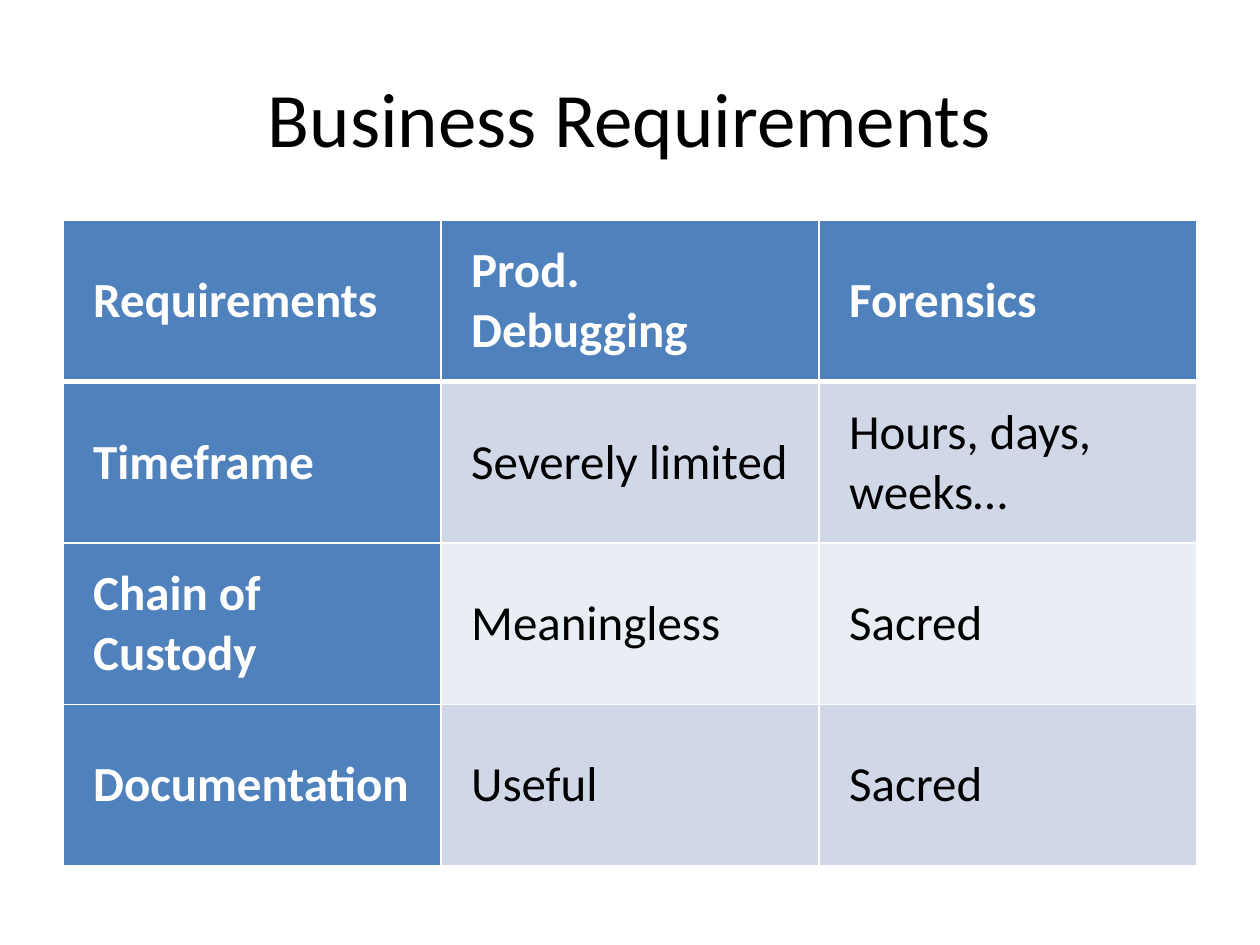
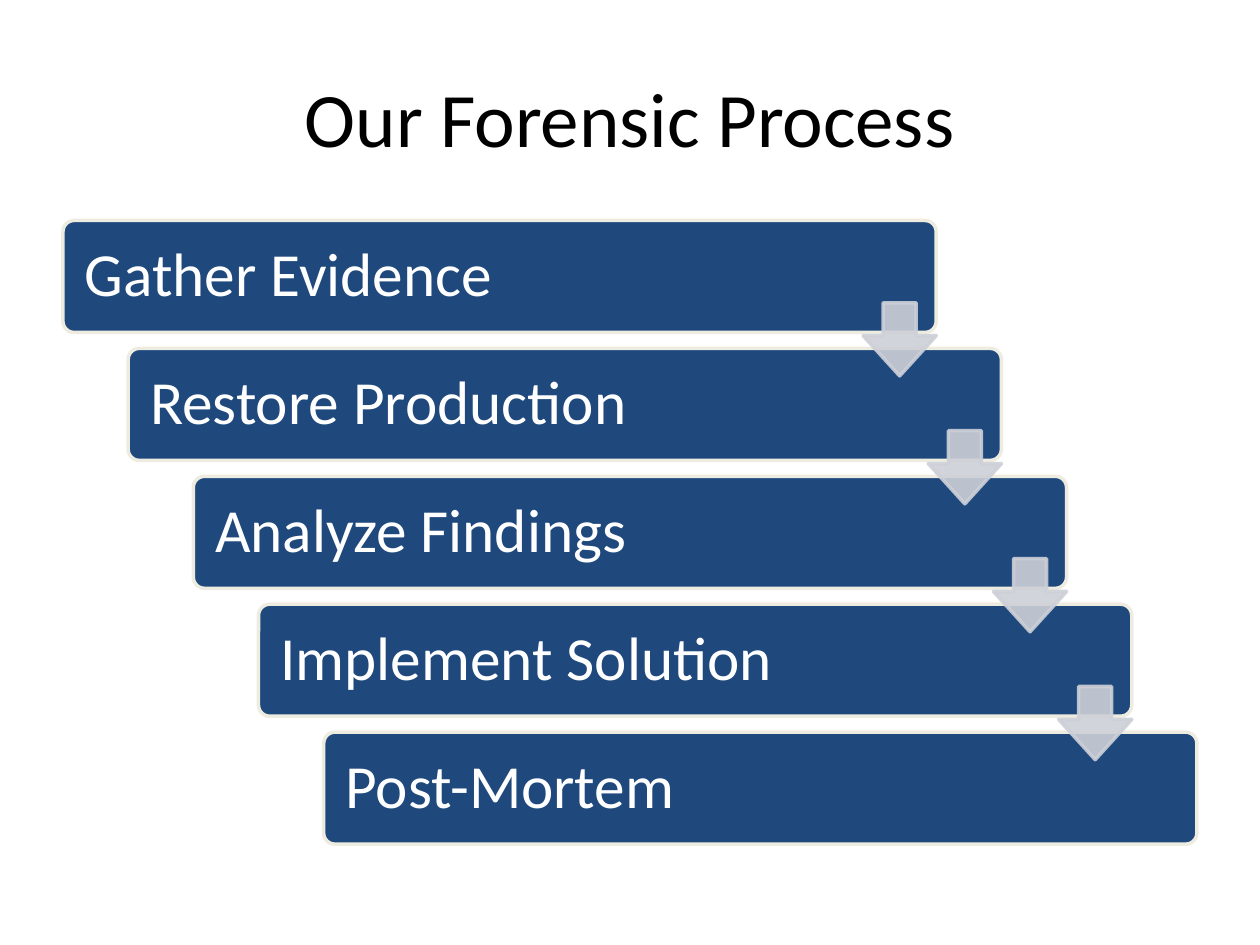
from lxml import etree
from pptx import Presentation, util as u
from pptx.dml import color
from pptx.enum import shapes, text
from pptx.oxml import ns

BLUE, NAVY, CREAM, GRAY = "4F81BD", "1F497D", "EEECE1", "CDD0D7"
BANDS = ["E9EDF4", "D0D8E8"]
WHITE, BLACK = "FFFFFF", "000000"
TITLE = (36, 21.6, 648, 90)
BODY = (36, 126, 648, 368.64)
STEPS = (36, 126, 648, 356.4)

GRID = [
    ["Requirements", "Prod. Debugging", "Forensics"],
    ["Timeframe", "Severely limited", "Hours, days, weeks…"],
    ["Chain of Custody", "Meaningless", "Sacred"],
    ["Documentation", "Useful", "Sacred"],
]
STAGES = ["Gather Evidence", "Restore Production", "Analyze Findings",
          "Implement Solution", "Post-Mortem"]


def rgb(code):
    return color.RGBColor.from_string(code)


def points(*sizes):
    return [u.Pt(size) for size in sizes]


def assign(item, values):
    for name, value in values.items():
        setattr(item, name, value)


def paint(fill, code):
    fill.solid()
    fill.fore_color.rgb = rgb(code)


def write(frame, words, size, code, bold=False, **layout):
    part = frame.paragraphs[0]
    assign(part, layout)
    run = part.add_run()
    run.text = words
    assign(run.font, {"size": u.Pt(size), "name": "Calibri", "bold": bold})
    run.font.color.rgb = rgb(code)


def label(slide, box, words, size, code, pad, **layout):
    frame = slide.shapes.add_textbox(*points(*box)).text_frame
    side, edge = points(*pad)
    assign(frame, {
        "word_wrap": True, "vertical_anchor": text.MSO_ANCHOR.MIDDLE,
        "margin_left": side, "margin_right": side,
        "margin_top": edge, "margin_bottom": edge,
    })
    write(frame, words, size, code, **layout)


def title(slide, words):
    label(slide, TITLE, words, 44, BLACK, (7.2, 3.6),
          alignment=text.PP_ALIGN.CENTER)


def border(cell, widths):
    props = cell._tc.get_or_add_tcPr()
    for spot, (side, width) in enumerate(widths.items()):
        line = etree.Element(ns.qn("a:ln" + side), w=str(u.Pt(width)))
        fill = etree.SubElement(line, ns.qn("a:solidFill"))
        etree.SubElement(fill, ns.qn("a:srgbClr"), val=WHITE)
        props.insert(spot, line)


def matrix(slide, box, grid):
    frame = slide.shapes.add_table(len(grid), len(grid[0]), *points(*box))
    table = frame.table
    for col in table.columns:
        col.width = u.Pt(box[2] / len(grid[0]))
    for row in table.rows:
        row.height = u.Pt(box[3] / len(grid))
    side, edge = points(17.28, 3.6)
    for r, line in enumerate(grid):
        for c, words in enumerate(line):
            cell = table.cell(r, c)
            head = r == 0 or c == 0
            assign(cell, {
                "vertical_anchor": text.MSO_ANCHOR.MIDDLE,
                "margin_left": side, "margin_right": side,
                "margin_top": edge, "margin_bottom": edge,
            })
            paint(cell.fill, BLUE if head else BANDS[r % 2])
            border(cell, {"L": 1, "R": 1, "T": 3 if r == 1 else 1,
                          "B": 3 if r == 0 else 1})
            write(cell.text_frame, words, 28, WHITE if head else BLACK, head)


def block(slide, kind, box, fill, line, adjust):
    shape = slide.shapes.add_shape(kind, *points(*box))
    shape.shadow.inherit = False
    paint(shape.fill, fill)
    paint(shape.line.fill, line)
    shape.line.width = u.Pt(2)
    for spot, value in enumerate(adjust):
        shape.adjustments[spot] = value
    return shape


def fade(shape, percent):
    for tint in shape._element.spPr.iter(ns.qn("a:srgbClr")):
        etree.SubElement(tint, ns.qn("a:alpha"), val=str(percent * 1000))


def stairs(slide, box, names):
    left, top, width, height = box
    wide, tall, arrow = 499, 64, 41.8
    gaps = len(names) - 1
    spots = [(left + i * (width - wide) / gaps, top + i * (height - tall) / gaps)
             for i in range(len(names))]
    for (x, y), name in zip(spots, names):
        block(slide, shapes.MSO_SHAPE.ROUNDED_RECTANGLE, (x, y, wide, tall),
              NAVY, CREAM, [0.1])
        label(slide, (x + 2, y + 2, 416, tall - 4), name, 35, WHITE,
              (10.5, 10.5), line_spacing=0.9)
    for x, y in spots[:-1]:
        shape = block(slide, shapes.MSO_SHAPE.DOWN_ARROW,
                      (x + wide - arrow, y + 47, arrow, arrow),
                      GRAY, GRAY, [0.45, 0.55])
        fade(shape, 90)


def main():
    deck = Presentation()
    assign(deck, {"slide_width": u.Pt(720), "slide_height": u.Pt(540)})
    pages = [("Business Requirements", matrix, BODY, GRID),
             ("Our Forensic Process", stairs, STEPS, STAGES)]
    for words, draw, box, data in pages:
        slide = deck.slides.add_slide(deck.slide_layouts[6])
        paint(slide.background.fill, WHITE)
        title(slide, words)
        draw(slide, box, data)
    deck.save("out.pptx")


if __name__ == "__main__":
    main()
